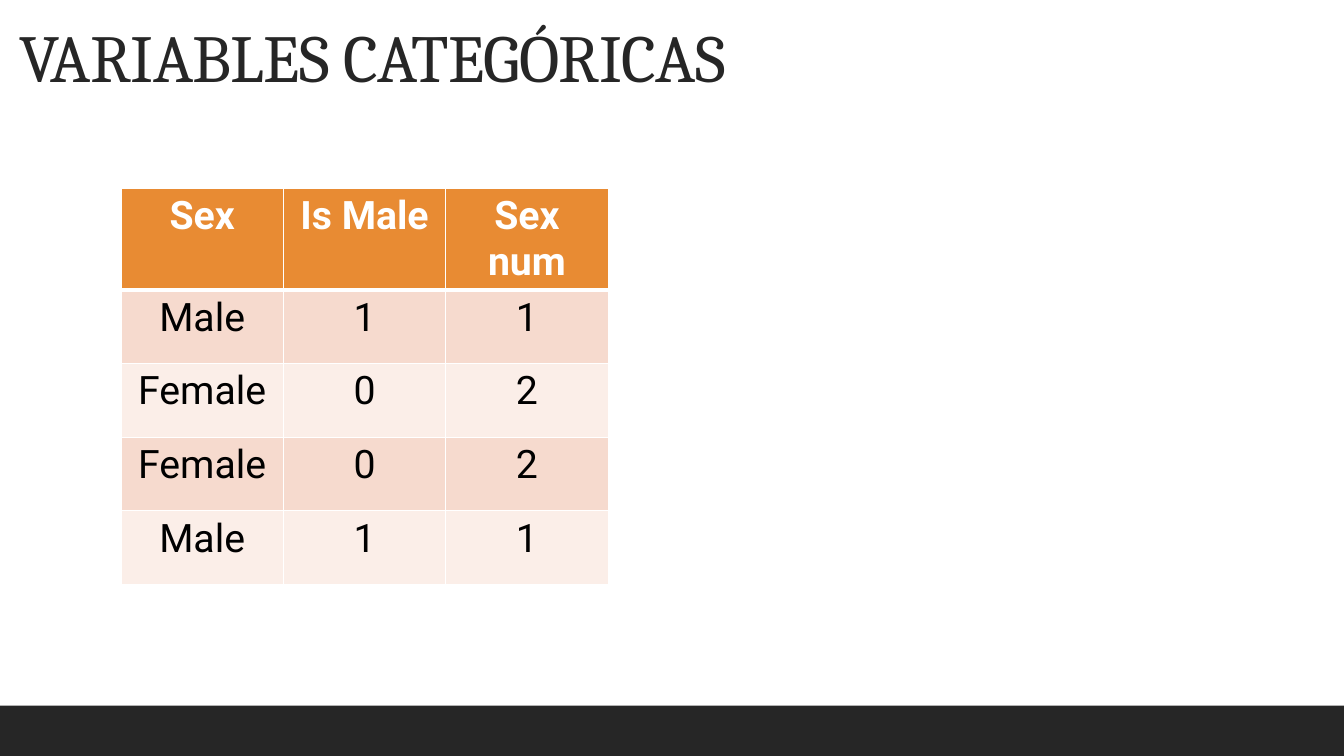
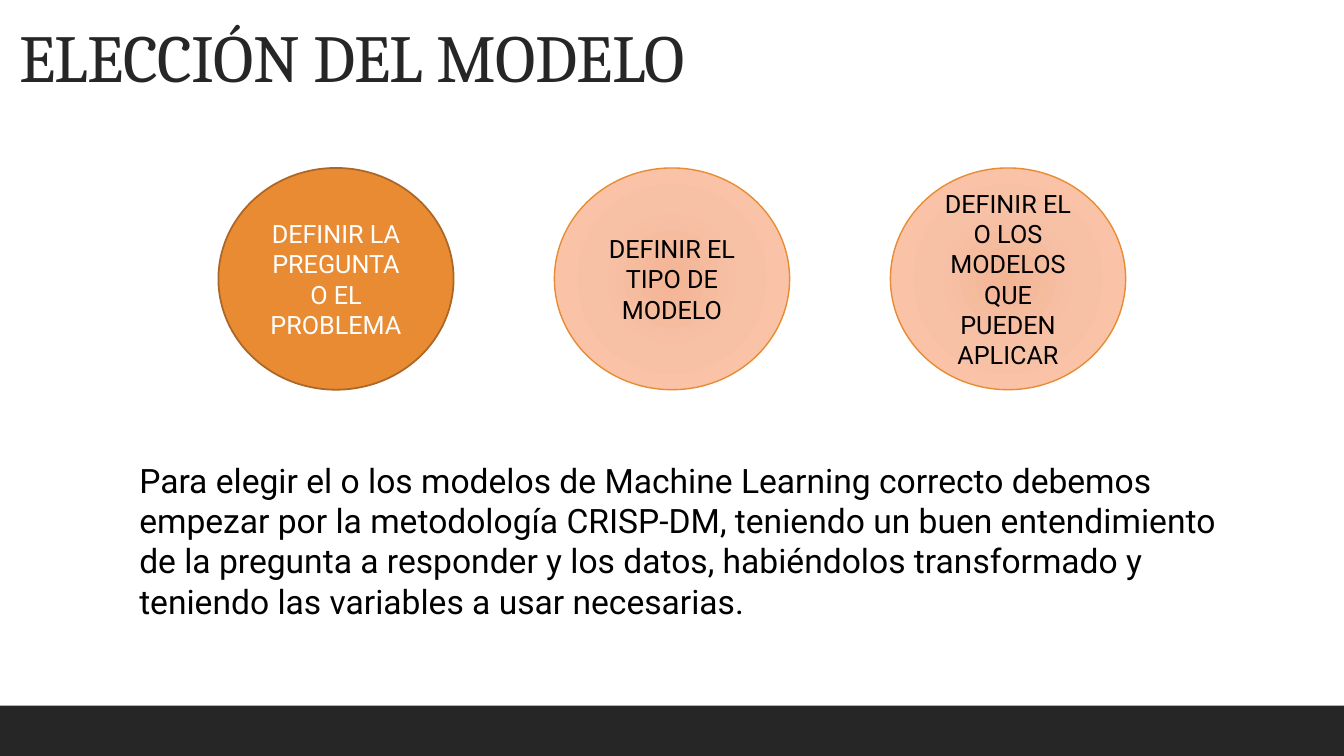
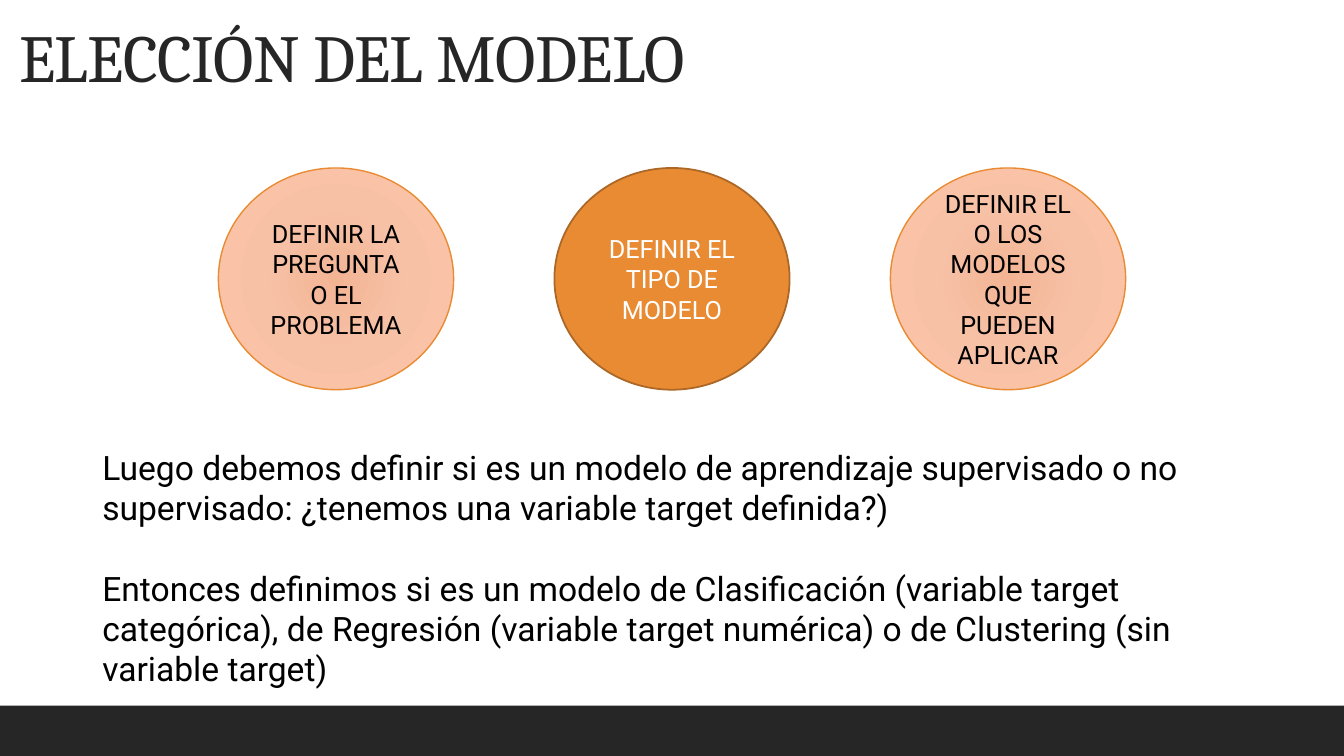
import dataclasses

import pptx
import pptx.dml.color
import pptx.enum.shapes
import pptx.enum.text
import pptx.oxml
import pptx.oxml.ns
import pptx.util

ALIGN = pptx.enum.text.PP_ALIGN
ANCHOR = pptx.enum.text.MSO_ANCHOR
AUTO_SIZE = pptx.enum.text.MSO_AUTO_SIZE
SHAPE = pptx.enum.shapes.MSO_SHAPE

GRID_COLUMNS, GRID_ROWS = 80, 45
UNIT = pptx.util.Inches(7.5) / GRID_ROWS


@dataclasses.dataclass(frozen=True)
class Theme:
    dark: str = "262626"
    accent: str = "E88B33"
    accent_dark: str = "AC6726"
    white: str = "FFFFFF"
    black: str = "000000"
    stripes: tuple = ("F6DACE", "FBEEE8")
    glow: tuple = ((0, "F3B494"), (45, "F7C1A6"), (100, "FFC6AB"))
    title_font: str = "Cambria"
    body_font: str = "Roboto"
    title_size: int = 48
    table_size: int = 28
    body_size: int = 24
    step_size: int = 18


THEME = Theme()

STEPS = (
    "DEFINIR LA PREGUNTA O EL PROBLEMA",
    "DEFINIR EL TIPO DE MODELO",
    "DEFINIR EL O LOS MODELOS QUE PUEDEN APLICAR",
)
SEX_ROWS = (
    ("Sex", "Is Male", "Sex num"),
    ("Male", "1", "1"),
    ("Female", "0", "2"),
    ("Female", "0", "2"),
    ("Male", "1", "1"),
)


def rgb(code):
    return pptx.dml.color.RGBColor.from_string(code)


def grid(*cells):
    """Turn grid columns and rows into slide lengths."""
    return [round(cell * UNIT) for cell in cells]


def apply(target, values):
    for name, value in values.items():
        setattr(target, name, value)


def write(paragraph, text, size, color, font=THEME.body_font, bold=False, **layout):
    run = paragraph.add_run()
    run.text = text
    apply(run.font, {"name": font, "size": pptx.util.Pt(size), "bold": bold})
    run.font.color.rgb = rgb(color)
    apply(paragraph, layout)
    return run


def new_slide(deck, heading, title_columns):
    slide = deck.slides.add_slide(deck.slide_layouts[5])
    title = slide.shapes.title
    bounds = grid(0.55, 1.2, title_columns, 4.86)
    apply(title, dict(zip(("left", "top", "width", "height"), bounds)))
    apply(title.text_frame, {"word_wrap": True, "auto_size": AUTO_SIZE.NONE,
                             "vertical_anchor": ANCHOR.BOTTOM})
    run = write(title.text_frame.paragraphs[0], heading, THEME.title_size, THEME.dark,
                THEME.title_font, alignment=ALIGN.LEFT, line_spacing=0.9)
    run.font._element.set("spc", "-50")

    band = slide.shapes.add_shape(SHAPE.RECTANGLE, *grid(0, 42, GRID_COLUMNS, 3))
    band.shadow.inherit = False
    band.fill.solid()
    band.fill.fore_color.rgb = rgb(THEME.dark)
    band.line.fill.background()
    return slide


def fill_with_glow(shape):
    """Fill with the theme's radial gradient."""
    stops = "".join(
        f'<a:gs pos="{share * 1000}"><a:srgbClr val="{color}"/></a:gs>'
        for share, color in THEME.glow)
    gradient = pptx.oxml.parse_xml(
        f'<a:gradFill {pptx.oxml.ns.nsdecls("a")} rotWithShape="1">'
        f'<a:gsLst>{stops}</a:gsLst><a:path path="circle">'
        '<a:fillToRect l="100000" t="100000" r="100000" b="100000"/>'
        '</a:path></a:gradFill>')
    shape.fill.background()
    properties = shape.element.spPr
    properties.replace(properties.find(pptx.oxml.ns.qn("a:noFill")), gradient)


def add_step(slide, column, label, active):
    step = slide.shapes.add_shape(SHAPE.OVAL, *grid(column, 10, 14, 13.2))
    step.shadow.inherit = False
    if active:
        step.fill.solid()
        step.fill.fore_color.rgb = rgb(THEME.accent)
    else:
        fill_with_glow(step)
    step.line.color.rgb = rgb(THEME.accent_dark if active else THEME.accent)
    step.line.width = pptx.util.Pt(1.25 if active else 1)
    apply(step.text_frame, {"word_wrap": True, "vertical_anchor": ANCHOR.MIDDLE})
    write(step.text_frame.paragraphs[0], label, THEME.step_size,
          THEME.white if active else THEME.black, alignment=ALIGN.CENTER)


def add_body(slide, bounds, texts):
    frame = slide.shapes.add_textbox(*grid(*bounds)).text_frame
    apply(frame, {"word_wrap": True, "auto_size": AUTO_SIZE.SHAPE_TO_FIT_TEXT})
    for index, text in enumerate(texts):
        paragraph = frame.add_paragraph() if index else frame.paragraphs[0]
        write(paragraph, text, THEME.body_size, THEME.black)
        if index:
            paragraph.space_before = pptx.util.Pt(1.2 * THEME.body_size)


def add_borders(cell, **widths):
    properties = cell._tc.get_or_add_tcPr()
    for side in "LRTB":
        width = pptx.util.Pt(widths.get(side, 1))
        properties.append(pptx.oxml.parse_xml(
            f'<a:ln{side} {pptx.oxml.ns.nsdecls("a")} w="{width}"><a:solidFill>'
            f'<a:srgbClr val="{THEME.white}"/></a:solidFill></a:ln{side}>'))


def add_sex_table(slide, rows):
    table = slide.shapes.add_table(
        len(rows), len(rows[0]), *grid(7.2, 11.2, 29, 21.9)).table
    for row_index, row in enumerate(rows):
        header = row_index == 0
        fill = THEME.accent if header else THEME.stripes[(row_index - 1) % 2]
        edges = {0: {"B": 3}, 1: {"T": 3}}.get(row_index, {})
        for column_index, text in enumerate(row):
            cell = table.cell(row_index, column_index)
            add_borders(cell, **edges)
            cell.fill.solid()
            cell.fill.fore_color.rgb = rgb(fill)
            write(cell.text_frame.paragraphs[0], text, THEME.table_size,
                  THEME.white if header else THEME.black, bold=header,
                  alignment=ALIGN.CENTER)


def add_model_slide(deck, active_step, bounds, texts):
    slide = new_slide(deck, "ELECCIÓN DEL MODELO", 65)
    add_body(slide, bounds, texts)
    for index, label in enumerate(STEPS):
        add_step(slide, 13 + 20 * index, label, index == active_step)


def main():
    deck = pptx.Presentation()
    deck.slide_width, deck.slide_height = grid(GRID_COLUMNS, GRID_ROWS)

    add_sex_table(new_slide(deck, "VARIABLES CATEGÓRICAS", 73.6), SEX_ROWS)
    add_model_slide(deck, 0, (7.7, 27.06, 66.6, 10.3), [
        "Para elegir el o los modelos de Machine Learning correcto debemos empezar "
        "por la metodología CRISP-DM, teniendo un buen entendimiento de la pregunta "
        "a responder y los datos, habiéndolos transformado y teniendo las variables "
        "a usar necesarias.",
    ])
    add_model_slide(deck, 1, (5.5, 26.3, 70.6, 12.7), [
        "Luego debemos definir si es un modelo de aprendizaje supervisado o no "
        "supervisado: ¿tenemos una variable target definida?)",
        "Entonces definimos si es un modelo de Clasificación (variable target "
        "categórica), de Regresión (variable target numérica) o de Clustering "
        "(sin variable target)",
    ])
    deck.save("out.pptx")


if __name__ == "__main__":
    main()
